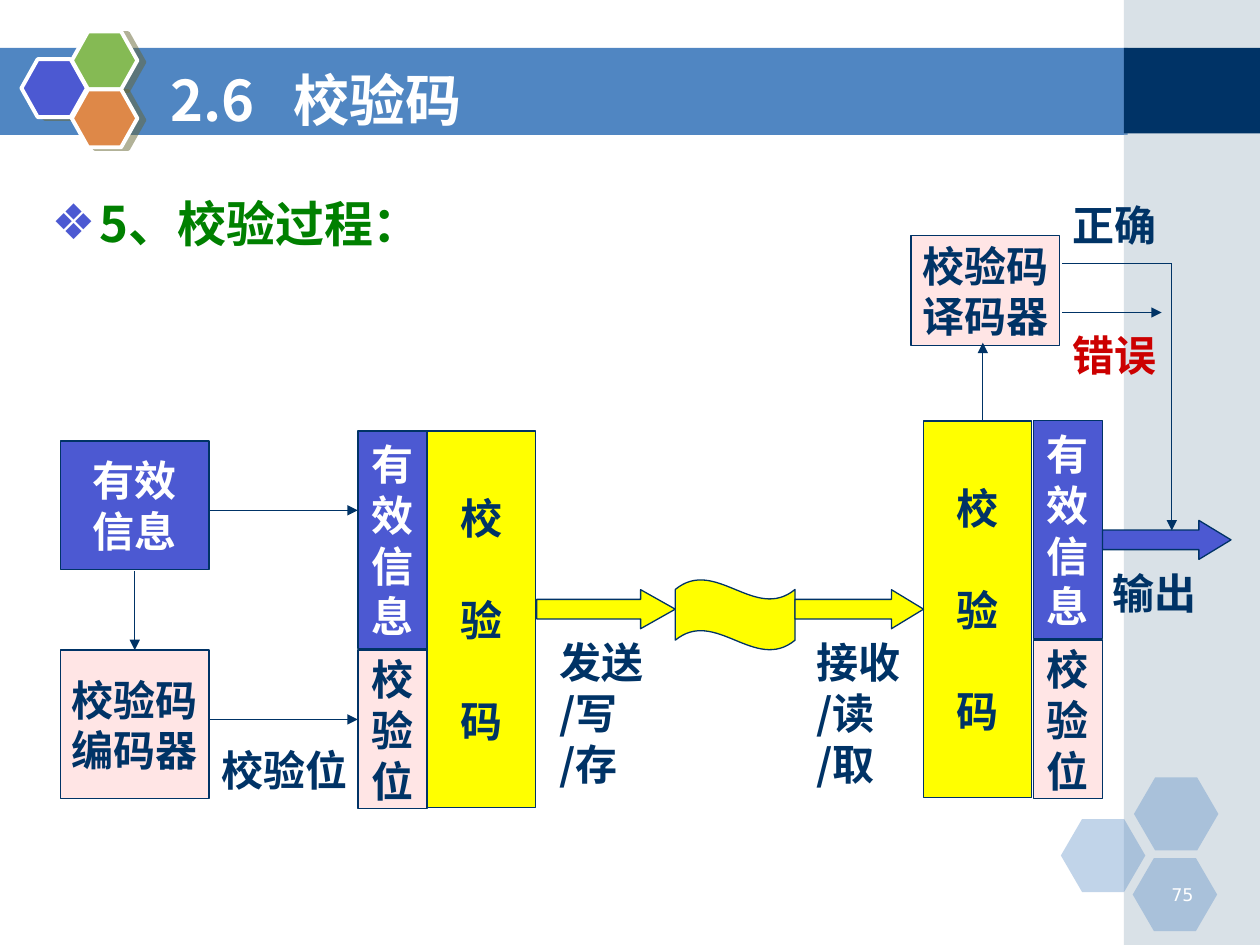
from lxml.etree import SubElement
from pptx import Presentation
from pptx.dml.color import RGBColor
from pptx.enum.shapes import MSO_CONNECTOR, MSO_SHAPE
from pptx.enum.text import MSO_ANCHOR, PP_ALIGN
from pptx.oxml.ns import qn
from pptx.util import Inches, Pt

HUES = {
    "navy": "003366", "blue": "4C59D2", "band": "5086C2", "pink": "FFE5E5",
    "gold": "FFFF00", "white": "FFFFFF", "green": "85BA54", "rust": "DE8848",
    "mist": "A0B5C4", "leaf": "008000", "red": "CC0000", "shade": "666633",
}
INK = {name: RGBColor.from_string(code) for name, code in HUES.items()}
SANS = "Noto Sans CJK SC"

deck = Presentation()
deck.slide_width, deck.slide_height = Inches(10), Inches(7.5)
col, row = deck.slide_width / 10, deck.slide_height / 7.5
slide = deck.slides.add_slide(deck.slide_layouts[1])
shapes = slide.shapes


def draw(kind, x, y, w, h, fill, edge=None, width=0.75, alpha=None):
    shape = shapes.add_shape(kind, int(x * col), int(y * row), int(w * col), int(h * row))
    shape.shadow.inherit = False
    shape.fill.solid()
    shape.fill.fore_color.rgb = INK[fill]
    if alpha:
        tint = shape._element.spPr.find(qn("a:solidFill"))[0]
        SubElement(tint, qn("a:alpha"), val=str(alpha * 1000))
    if edge:
        shape.line.color.rgb = INK[edge]
        shape.line.width = Pt(width)
    else:
        shape.line.fill.background()
    return shape


def write(shape, text, hue, size=24, align=PP_ALIGN.LEFT, gap=0, face=SANS, bold=True):
    frame = shape.text_frame
    frame.text = text
    for rank, para in enumerate(frame.paragraphs):
        para.alignment = align
        para.line_spacing = Pt(round(size * 1.21))
        para.space_before = Pt(gap if rank else 0)
        props = para._p.get_or_add_pPr()
        if shape == body:
            props.set("marL", str(Inches(0.38)))
            props.set("indent", str(-Inches(0.38)))
            tint = SubElement(props, qn("a:buClr"))
            SubElement(tint, qn("a:srgbClr"), val=HUES["blue"])
            SubElement(props, qn("a:buChar"), char="❖")
        if shape == title:
            tabs = SubElement(props, qn("a:tabLst"))
            SubElement(tabs, qn("a:tab"), pos=str(Inches(0.98)), algn="l")
        font = para.font
        font.name, font.size, font.bold = face, Pt(size), bold
        font.color.rgb = INK[hue]
        SubElement(props.find(qn("a:defRPr")), qn("a:ea"), typeface=face)


title, body = shapes.title, slide.placeholders[1]

draw(MSO_SHAPE.RECTANGLE, 0, 0.38, 8.95, 0.69, "band")
draw(MSO_SHAPE.RECTANGLE, 8.92, 0, 1.08, 7.5, "mist", alpha=40)
draw(MSO_SHAPE.RECTANGLE, 8.92, 0.38, 1.08, 0.68, "navy")
for x, y in [(8.42, 6.5), (9, 6.17), (8.99, 6.81)]:
    cell = draw(MSO_SHAPE.HEXAGON, x, y, 0.67, 0.58, "band", alpha=35)
    cell.adjustments[0] = 0.29
for x, y, hue in [(0.17, 0.47, "blue"), (0.57, 0.25, "green"), (0.57, 0.71, "rust")]:
    cell = draw(MSO_SHAPE.HEXAGON, x, y, 0.52, 0.46, hue, "white", 2.25)
    cell.adjustments[0] = 0.28
    glow = SubElement(cell._element.spPr.find(qn("a:effectLst")), qn("a:outerShdw"),
                      dist=str(Pt(4.1)), dir=str(14 * 60000), algn="ctr", rotWithShape="0")
    tint = SubElement(glow, qn("a:srgbClr"), val=HUES["shade"])
    SubElement(tint, qn("a:alpha"), val="50000")

heads = [
    (title, 1.25, 0.47, 7.33, 0.62, "2.6\t校验码", "white", 32, MSO_ANCHOR.MIDDLE),
    (body, 0.31, 1.48, 8.27, 0.9, "5、校验过程：", "leaf", 28, MSO_ANCHOR.TOP),
]
for holder, x, y, w, h, text, hue, size, anchor in heads:
    shapes._spTree.append(holder._element)
    holder.left, holder.top = int(x * col), int(y * row)
    holder.width, holder.height = int(w * col), int(h * row)
    holder.text_frame.vertical_anchor = anchor
    write(holder, text, hue, size)

blocks = [
    (0.48, 3.5, 1.18, 1.02, "blue", "有效\n信息"),
    (0.48, 5.16, 1.18, 1.18, "pink", "校验码\n编码器"),
    (7.23, 1.87, 1.18, 0.87, "pink", "校验码\n译码器"),
]
for x, part, y in [(3.39, 2.84, 3.42), (7.33, 8.2, 3.34)]:
    blocks += [
        (x, y, 0.86, 2.99, "gold", "校\n验\n码"),
        (part, y, 0.55, 1.73, "blue", "有\n效\n信\n息"),
        (part, y + 1.74, 0.55, 1.26, "pink", "校\n验\n位"),
    ]
for x, y, w, h, fill, text in blocks:
    block = draw(MSO_SHAPE.RECTANGLE, x, y, w, h, fill, "navy")
    block.text_frame.word_wrap = False
    block.text_frame.vertical_anchor = MSO_ANCHOR.MIDDLE
    write(block, text, "white" if fill == "blue" else "navy",
          align=PP_ALIGN.CENTER, gap=29 if fill == "gold" else 0)

wave = draw(MSO_SHAPE.WAVE, 5.36, 4.6, 0.95, 0.56, "gold", "navy")
wave.adjustments[0] = 0.14
for x, y, w, fill in [(4.26, 4.68, 1.1, "gold"), (6.31, 4.68, 1.02, "gold"), (8.75, 4.13, 1.02, "blue")]:
    arrow = draw(MSO_SHAPE.RIGHT_ARROW, x, y, w, 0.31, fill, "navy")
    arrow.adjustments[1] = 0.25 * w / 0.31

wires = [
    (1.07, 4.53, 1.07, 5.16, True),
    (1.66, 4.05, 2.84, 4.05, True),
    (1.66, 5.71, 2.84, 5.71, True),
    (7.8, 3.34, 7.8, 2.72, True),
    (8.43, 2.48, 9.22, 2.48, True),
    (8.43, 2.09, 9.3, 2.09, False),
    (9.3, 2.09, 9.3, 4.21, True),
]
for x, y, right, low, tip in wires:
    wire = shapes.add_connector(MSO_CONNECTOR.STRAIGHT, int(x * col), int(y * row),
                                int(right * col), int(low * row))
    wire.line.color.rgb = INK["navy"]
    wire.line.width = Pt(0.75)
    if tip:
        SubElement(wire.line._get_or_add_ln(), qn("a:tailEnd"), type="triangle")
    SubElement(wire._element.spPr, qn("a:effectLst"))

labels = [
    (1.66, 5.86, 1.5, 0.5, 0.1, "校验位", "navy"),
    (4.34, 5, 0.95, 1.3, 0.1, "发送\n/写\n/存", "navy"),
    (6.38, 5, 0.95, 1.3, 0.1, "接收\n/读\n/取", "navy"),
    (8.51, 1.53, 0.71, 0.5, 0, "正确", "navy"),
    (8.51, 2.56, 0.71, 0.5, 0, "错误", "red"),
    (8.83, 4.45, 0.71, 0.5, 0, "输出", "navy"),
    (9.07, 6.97, 0.5, 0.25, 0.1, "75", "white"),
]
for x, y, w, h, inset, text, hue in labels:
    label = shapes.add_textbox(int(x * col), int(y * row), int(w * col), int(h * row))
    frame = label.text_frame
    frame.word_wrap = True
    frame.margin_left = frame.margin_right = int(inset * col)
    if text == "75":
        write(label, text, hue, 10, PP_ALIGN.RIGHT, face="DejaVu Sans", bold=False)
    else:
        write(label, text, hue)

deck.save("out.pptx")
